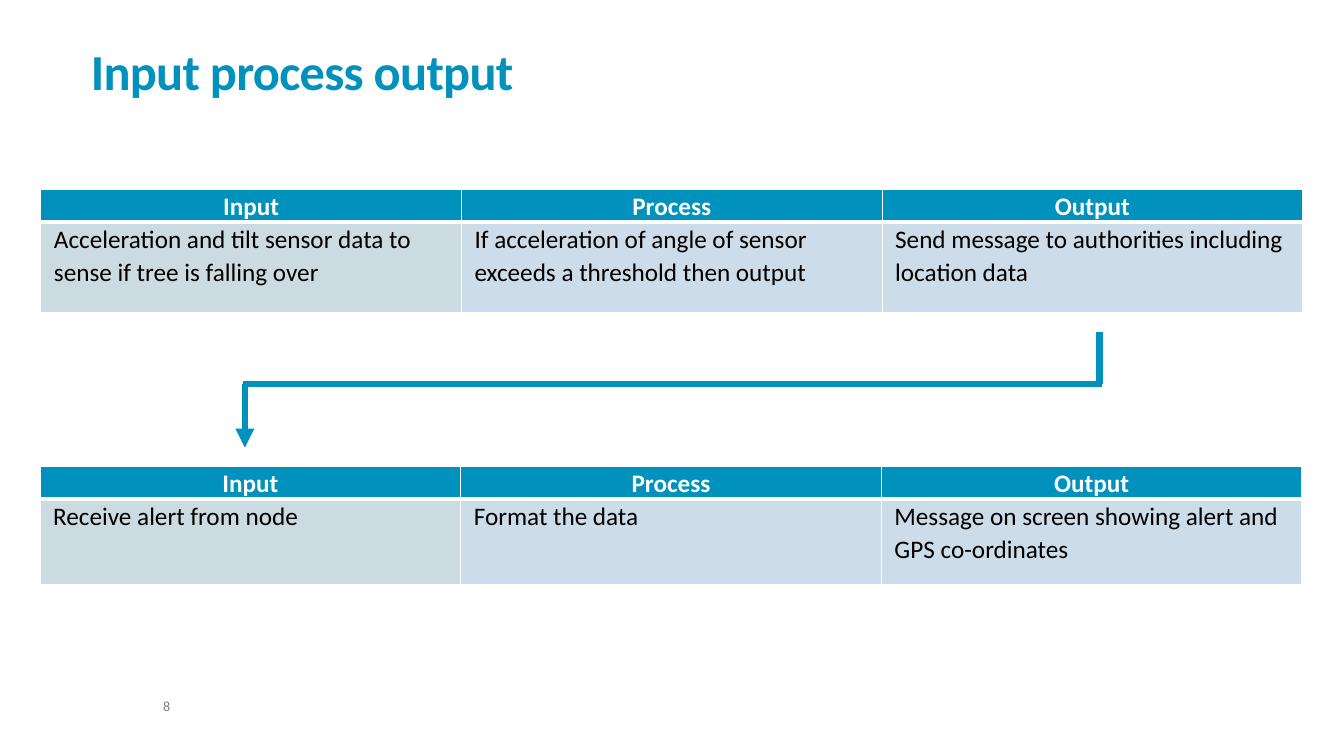
import pptx
import pptx.util
import pptx.dml.color
import pptx.enum.shapes
import pptx.enum.text
import pptx.oxml
import pptx.oxml.ns

Cm, Pt = pptx.util.Cm, pptx.util.Pt
ALIGN = pptx.enum.text.PP_ALIGN
ANCHOR = pptx.enum.text.MSO_ANCHOR

FONT = "Calibri"
HUES = {"blue": "0091BD", "white": "FFFFFF", "black": "000000",
        "grey": "7F7F7F", "first": "CCDBE2", "rest": "CCDCE8"}
TITLE = "Input process output"
PAGE = "8"
HEADS = ["Input", "Process", "Output"]
STAGES = [
    {"left": 1.03, "top": 4.78, "body": 2.29, "cells": [
        "Acceleration and tilt sensor data to sense if tree is falling over",
        "If acceleration of angle of sensor exceeds a threshold then output",
        "Send message to authorities including location data"]},
    {"left": 1.01, "top": 11.76, "body": 2.16, "cells": [
        "Receive alert from node",
        "Format the data",
        "Message on screen showing alert and GPS co-ordinates"]},
]
COL, HEAD, PAD = 10.6, 0.79, 0.33
START, END = (27.71, 8.36), (6.17, 11.28)
BEND, LAP = 9.68, 0.05


def hue(name):
    """Return the named colour."""
    return pptx.dml.color.RGBColor.from_string(HUES[name])


def write(frame, text, size, tone, bold=False, space=1.0):
    """Write one styled run into a text frame."""
    frame.word_wrap = True
    para = frame.paragraphs[0]
    para.line_spacing = space
    run = para.add_run()
    run.text = text
    run.font.name, run.font.size, run.font.bold = FONT, Pt(size), bold
    run.font.color.rgb = hue(tone)
    return run


def label(slide, box, text, size, tone, bold, space, anchor):
    """Add a text box without insets."""
    frame = slide.shapes.add_textbox(*map(Cm, box)).text_frame
    frame.margin_left = frame.margin_right = 0
    frame.margin_top = frame.margin_bottom = 0
    frame.vertical_anchor = anchor
    return write(frame, text, size, tone, bold, space)


def edge(cell, widths):
    """Draw white borders on a cell."""
    props = cell._tc.get_or_add_tcPr()
    for spot, (side, width) in enumerate(widths.items()):
        props.insert(spot, pptx.oxml.parse_xml(
            f'<a:ln{side} {pptx.oxml.ns.nsdecls("a")} w="{Pt(width)}"><a:solidFill>'
            f'<a:srgbClr val="{HUES["white"]}"/></a:solidFill></a:ln{side}>'))


def table(slide, stage):
    """Add the table of one stage."""
    rows = [HEADS, stage["cells"]]
    highs = [HEAD, stage["body"]]
    grid = slide.shapes.add_table(
        len(rows), len(HEADS), Cm(stage["left"]), Cm(stage["top"]),
        Cm(COL * len(HEADS)), Cm(sum(highs))).table
    for col in grid.columns:
        col.width = Cm(COL)
    for r, texts in enumerate(rows):
        grid.rows[r].height = Cm(highs[r])
        top = r == 0
        for c, text in enumerate(texts):
            cell = grid.cell(r, c)
            cell.margin_left = cell.margin_right = Cm(PAD)
            cell.margin_top = cell.margin_bottom = 0
            cell.fill.solid()
            cell.fill.fore_color.rgb = hue("blue" if top else "rest" if c else "first")
            write(cell.text_frame, text, 18, "white" if top else "black", top, 1.07)
            cell.text_frame.paragraphs[0].alignment = ALIGN.CENTER if top else ALIGN.LEFT
            edge(cell, {"L": 1, "R": 1, "T": 1 if top else 3, "B": 3 if top else 1})


def link(slide, begin, end, tip):
    """Add one straight part of the arrow."""
    line = slide.shapes.add_connector(
        pptx.enum.shapes.MSO_CONNECTOR.STRAIGHT, *map(Cm, begin + end))
    line.line.color.rgb = hue("blue")
    line.line.width = Pt(4.5)
    props = line._element.spPr
    if tip:
        pptx.oxml.ns.qn("a:tailEnd")
        line.line._get_or_add_ln().append(pptx.oxml.parse_xml(
            f'<a:tailEnd {pptx.oxml.ns.nsdecls("a")} type="triangle"/>'))
    props.append(pptx.oxml.parse_xml(f'<a:effectLst {pptx.oxml.ns.nsdecls("a")}/>'))


def main():
    """Build the slide and save it."""
    deck = pptx.Presentation()
    deck.slide_width, deck.slide_height = Cm(33.87), Cm(19.05)
    slide = deck.slides.add_slide(deck.slide_layouts[6])
    label(slide, (4.11, 17.63, 3.02, 0.38), PAGE, 10, "grey", False, 0.9, ANCHOR.TOP)
    title = label(slide, (2.29, 0.99, 28.14, 1.55), TITLE, 36, "blue", True, 0.85,
                  ANCHOR.BOTTOM)
    title.font._element.set("spc", "-50")
    for stage in STAGES:
        table(slide, stage)
    link(slide, START, (START[0], BEND), False)
    link(slide, (START[0] + LAP, BEND), (END[0] - LAP, BEND), False)
    link(slide, (END[0], BEND), END, True)
    deck.save("out.pptx")


if __name__ == "__main__":
    main()
